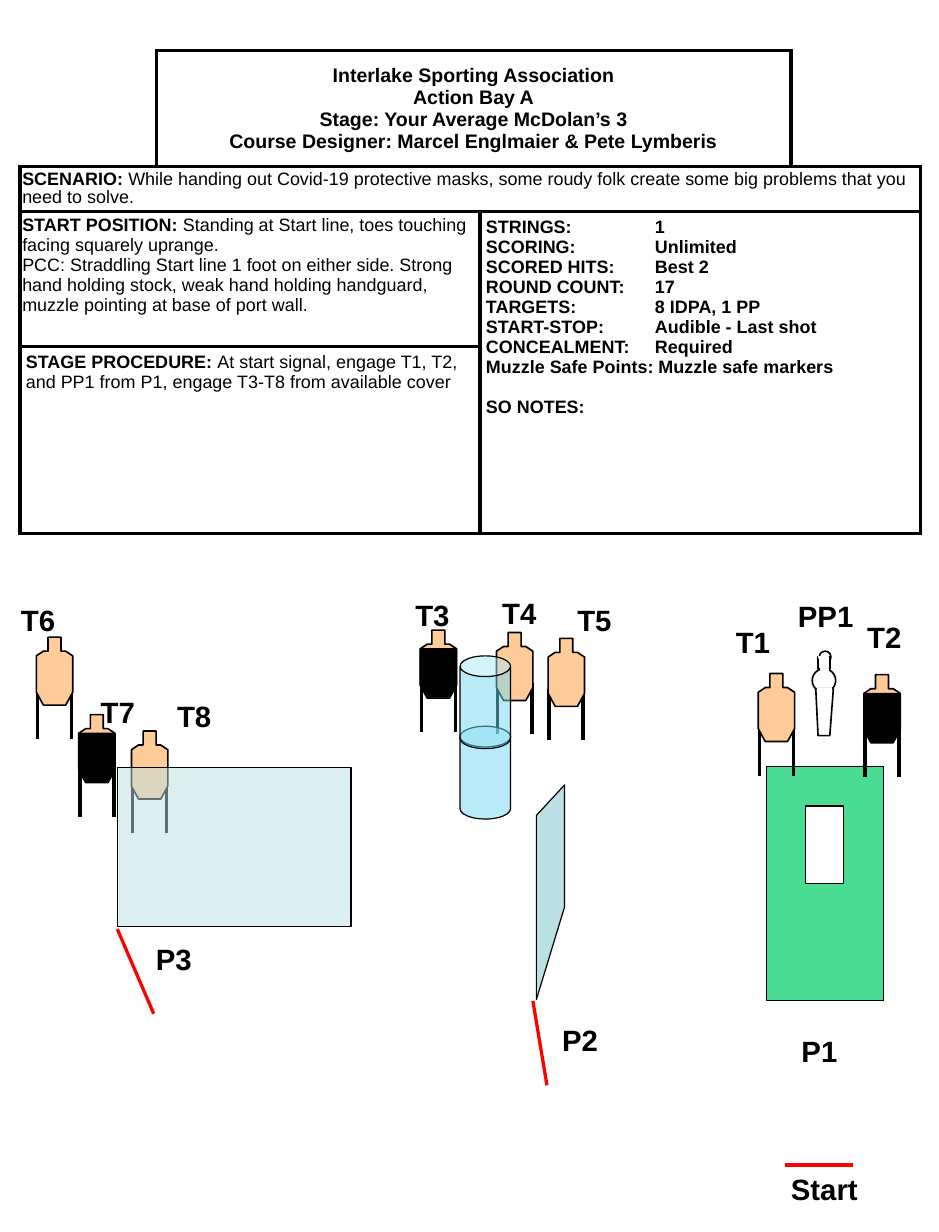
"""Build a shooting-stage briefing sheet with its rules table and bay diagram."""
from lxml.etree import SubElement
from pptx import Presentation
from pptx.dml.color import RGBColor
from pptx.enum.shapes import MSO_CONNECTOR, MSO_SHAPE
from pptx.enum.text import MSO_ANCHOR, MSO_AUTO_SIZE, PP_ALIGN
from pptx.oxml import parse_xml
from pptx.oxml.ns import nsdecls, qn
from pptx.util import Inches, Pt

COLORS = {
    "black": "000000", "white": "FFFFFF", "red": "FF0000", "cardboard": "FFCC99",
    "port_wall": "4ADC93", "wall": "BBE0E3", "barrel": "73D9F1",
}
RGB = {name: RGBColor.from_string(code) for name, code in COLORS.items()}

prs = Presentation()
prs.slide_width, prs.slide_height = Inches(8), Inches(10.5)
slide = prs.slides.add_slide(prs.slide_layouts[6])
shapes = slide.shapes


def paint(shape, fill, line, width, alpha=100):
    shape.shadow.inherit = False
    shape.fill.solid()
    shape.fill.fore_color.rgb = RGB[fill]
    if alpha < 100:
        color = shape.fill._xPr.find(qn("a:solidFill"))[0]
        SubElement(color, qn("a:alpha"), val=str(alpha * 1000))
    if line:
        shape.line.color.rgb = RGB[line]
        shape.line.width = Pt(width)
    else:
        shape.line.fill.background()


def add_outline(contours, fill, width, alpha=100):
    scaled = [[(Inches(x), Inches(y)) for x, y in contour] for contour in contours]
    builder = shapes.build_freeform(*scaled[0][0])
    for number, contour in enumerate(scaled):
        if number:
            builder.move_to(*contour[0])
        builder.add_line_segments(contour[1:], close=True)
    paint(builder.convert_to_shape(), fill, "black", width, alpha)


table = shapes.add_table(4, 4, Inches(0.17), Inches(0.43), Inches(7.67), Inches(4.07)).table
table.first_row = table.horz_banding = False
for column, width in zip(table.columns, (1.16, 2.76, 2.65, 1.1)):
    column.width = Inches(width)
for row, height in zip(table.rows, (0.99, 0.34, 1.15, 1.59)):
    row.height = Inches(height)

open_edges = {(0, 0): "LT", (0, 3): "RT"}
for r in range(4):
    for c in range(4):
        cell = table.cell(r, c)
        cell.fill.solid()
        cell.fill.fore_color.rgb = RGB["white"]
        for position, side in enumerate("LRTB"):
            hidden = side in open_edges.get((r, c), "")
            stroke = "<a:noFill/>" if hidden else (
                f'<a:solidFill><a:srgbClr val="{COLORS["black"]}"/></a:solidFill>')
            border = parse_xml(f'<a:ln{side} {nsdecls("a")} w="{Pt(2.25)}">{stroke}</a:ln{side}>')
            cell._tc.get_or_add_tcPr().insert(position, border)

for first, last in (((0, 1), (0, 2)), ((1, 0), (1, 3)), ((2, 0), (2, 1)),
                    ((2, 2), (3, 3)), ((3, 0), (3, 1))):
    table.cell(*first).merge(table.cell(*last))

briefing = {
    (0, 1): (12, 0.05, 0.05, [
        ("Interlake Sporting Association", ""),
        ("Action Bay A", ""),
        ("Stage: Your Average McDolan’s 3", ""),
        ("Course Designer: Marcel Englmaier & Pete Lymberis", ""),
    ]),
    (1, 0): (11, 0.02, 0.04, [
        ("SCENARIO: ", "While handing out Covid-19 protective masks, some roudy folk "
                       "create some big problems that you need to solve."),
    ]),
    (2, 0): (11, 0.02, 0.03, [
        ("START POSITION: ", "Standing at Start line, toes touching facing squarely uprange."),
        ("", "PCC: Straddling Start line 1 foot on either side. Strong hand holding stock, "
             "weak hand holding handguard, muzzle pointing at base of port wall."),
    ]),
    (2, 2): (11, 0.05, 0.05, [
        ("STRINGS:\t1", ""),
        ("SCORING:\tUnlimited", ""),
        ("SCORED HITS:\tBest 2", ""),
        ("ROUND COUNT:\t17", ""),
        ("TARGETS:\t8 IDPA, 1 PP", ""),
        ("START-STOP:\tAudible - Last shot", ""),
        ("CONCEALMENT:\tRequired", ""),
        ("Muzzle Safe Points: Muzzle safe markers", ""),
        ("SO NOTES:", ""),
    ]),
    (3, 0): (11, 0.05, 0.05, [
        ("STAGE PROCEDURE: ", "At start signal, engage T1, T2, and PP1 from P1, "
                              "engage T3-T8 from available cover"),
    ]),
}
for place, (size, side_inset, end_inset, lines) in briefing.items():
    cell = table.cell(*place)
    cell.margin_left = cell.margin_right = Inches(side_inset)
    cell.margin_top = cell.margin_bottom = Inches(end_inset)
    for number, (heading, detail) in enumerate(lines):
        frame = cell.text_frame
        paragraph = frame.add_paragraph() if number else frame.paragraphs[0]
        if "\t" in heading:
            stops = SubElement(paragraph._p.get_or_add_pPr(), qn("a:tabLst"))
            SubElement(stops, qn("a:tab"), pos=str(Inches(1.44)), algn="l")
        for text, bold in ((heading, True), (detail, False)):
            if text:
                run = paragraph.add_run()
                run.text = text
                style = {"name": "Arial", "size": Pt(size), "bold": bold}
                for key, value in style.items():
                    setattr(run.font, key, value)
                run.font.color.rgb = RGB["black"]
header = table.cell(0, 1)
header.vertical_anchor = MSO_ANCHOR.MIDDLE
for paragraph in header.text_frame.paragraphs:
    paragraph.alignment = PP_ALIGN.CENTER
table.cell(1, 0).text_frame.paragraphs[0].line_spacing = 0.9
table.cell(2, 2).text_frame.paragraphs[-1].space_before = Pt(12.3)

labels = [
    ("P1", 6.73, 8.76, 0.58), ("P2", 4.69, 8.66, 0.58), ("P3", 1.23, 7.97, 0.58),
    ("T1", 6.17, 5.27, 0.58), ("T2", 7.29, 5.23, 0.58), ("T3", 3.44, 5.04, 0.51),
    ("T4", 4.18, 5.02, 0.58), ("T5", 4.82, 5.08, 0.58), ("T6", 0.08, 5.08, 0.58),
    ("T7", 0.76, 5.87, 0.58), ("T8", 1.41, 5.9, 0.58), ("PP1", 6.7, 5.05, 0.73),
    ("Start", 6.64, 9.93, 0.94),
]
for text, x, y, width in labels:
    label = shapes.add_textbox(Inches(x), Inches(y), Inches(width), Inches(0.4)).text_frame
    label.word_wrap = True
    label.auto_size = MSO_AUTO_SIZE.SHAPE_TO_FIT_TEXT
    run = label.paragraphs[0].add_run()
    run.text = text
    for key, value in {"name": "Arial", "size": Pt(18), "bold": True}.items():
        setattr(run.font, key, value)
    run.font.color.rgb = RGB["black"]

port_wall = [(6.53, 6.53), (7.53, 6.53), (7.53, 8.53), (6.53, 8.53)]
port = [(6.86, 6.87), (7.19, 6.87), (7.19, 7.53), (6.86, 7.53)]
add_outline([port_wall, port], "port_wall", 0)

targets = [
    (4.67, 5.44, False), (6.46, 5.74, False), (4.23, 5.39, False), (1.12, 6.23, False),
    (0.31, 5.43, False), (7.36, 5.75, True), (3.58, 5.37, True), (0.67, 6.09, True),
]
strokes = [
    (4.66, 9.25, 4.54, 8.53, "red", 2),
    (1.31, 8.64, 1, 7.92, "red", 2),
    (7.27, 9.93, 6.69, 9.93, "red", 2),
]
for x, y, masked in targets:
    for leg in (x + 0.01, x + 0.3):
        strokes.append((leg, y + 0.43, leg, y + 0.87, "black", 2.25))
for x1, y1, x2, y2, color, width in strokes:
    stroke = shapes.add_connector(
        MSO_CONNECTOR.STRAIGHT, Inches(x1), Inches(y1), Inches(x2), Inches(y2))
    stroke.line.color.rgb = RGB[color]
    stroke.line.width = Pt(width)
    SubElement(stroke._element.spPr, qn("a:effectLst"))

silhouette = [(0.1, 0), (0.21, 0), (0.21, 0.12), (0.25, 0.12), (0.31, 0.16), (0.31, 0.47),
              (0.25, 0.58), (0.06, 0.58), (0, 0.47), (0, 0.16), (0.06, 0.12), (0.1, 0.12)]
hard_cover = [(0, 0.16), (0.31, 0.16), (0.31, 0.46), (0.25, 0.57), (0.06, 0.57), (0, 0.46)]
for x, y, masked in targets:
    add_outline([[(x + dx, y + dy) for dx, dy in silhouette]], "cardboard", 1)
    if masked:
        add_outline([[(x + dx, y + dy) for dx, dy in hard_cover]], "black", 0)

add_outline([[(4.81, 7.73), (4.57, 8.52), (4.57, 6.95), (4.81, 6.69)]], "wall", 0.75)
add_outline([[(2.99, 7.9), (1, 7.9), (1, 6.54), (2.99, 6.54)]], "wall", 0.75, 50)

popper_head = [(6.98, 5.55, 0.1, 0.1), (6.92, 5.7, 0.2, 0.2)]
for box in popper_head:
    paint(shapes.add_shape(MSO_SHAPE.OVAL, *map(Inches, box)), "white", "black", 1)
add_outline([[(6.95, 5.87), (7.1, 5.87), (7.07, 6.27), (6.97, 6.27)]], "white", 1)
popper_joints = [
    (6.97, 5.6, 0.1, 0.1, "black"), (6.96, 5.86, 0.13, 0.02, None),
    (6.99, 5.7, 0.07, 0.02, "white"), (6.98, 5.6, 0.08, 0.01, "white"),
]
for *box, line in popper_joints:
    paint(shapes.add_shape(MSO_SHAPE.RECTANGLE, *map(Inches, box)), "white", line, 1)

for top in (6.19, 5.59):
    barrel = shapes.add_shape(MSO_SHAPE.CAN, Inches(3.92), Inches(top), Inches(0.43), Inches(0.79))
    barrel.adjustments[0] = 0.41
    paint(barrel, "barrel", "black", 0.75, 50)

prs.save("out.pptx")
